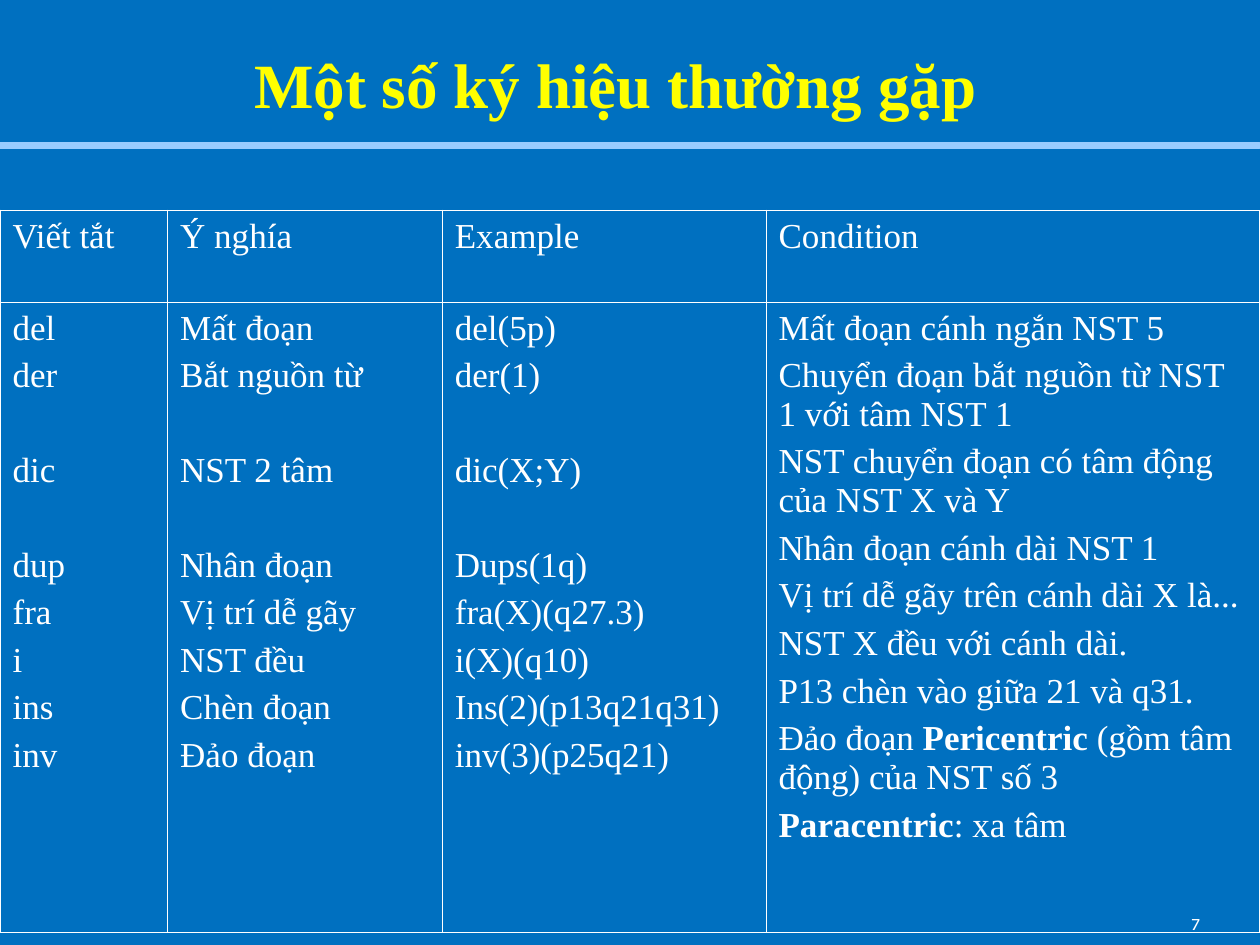
from lxml.etree import SubElement
from pptx import Presentation
from pptx.dml.color import RGBColor
from pptx.enum.shapes import MSO_SHAPE
from pptx.enum.text import MSO_ANCHOR
from pptx.oxml.ns import qn
from pptx.util import Inches, Pt

BLUE = RGBColor(0x00, 0x70, 0xC0)
LIGHT_BLUE = RGBColor(0x99, 0xCC, 0xFF)
YELLOW = RGBColor(0xFF, 0xFF, 0x00)
WHITE = RGBColor(0xFF, 0xFF, 0xFF)
SERIF = "Times New Roman"
SANS = "Karla"

THIN, THICK = 0.45, 1.08
LINE_GAP, SKIPPED_LINE_GAP = 5, 32
COLUMN_WIDTHS = [1.33, 2.18, 2.57, 3.92]
ROW_HEIGHTS = [0.73, 5]
HEADINGS = ["Viết tắt", "Ý nghía", "Example", "Condition"]
TERMS = [
    ("del", "Mất đoạn", "del(5p)"),
    ("der", "Bắt nguồn từ", "der(1)"),
    ("dic", "NST 2 tâm", "dic(X;Y)"),
    ("dup", "Nhân đoạn", "Dups(1q)"),
    ("fra", "Vị trí dễ gãy", "fra(X)(q27.3)"),
    ("i", "NST đều", "i(X)(q10)"),
    ("ins", "Chèn đoạn", "Ins(2)(p13q21q31)"),
    ("inv", "Đảo đoạn", "inv(3)(p25q21)"),
]
TERMS_AFTER_SKIP = (2, 3)
CONDITIONS = [
    ["Mất đoạn cánh ngắn NST 5"],
    ["Chuyển đoạn bắt nguồn từ NST 1 với tâm NST 1"],
    ["NST chuyển đoạn có tâm động của NST X và Y"],
    ["Nhân đoạn cánh dài NST 1"],
    ["Vị trí dễ gãy trên cánh dài X là..."],
    ["NST X đều với cánh dài."],
    ["P13 chèn vào giữa 21 và q31."],
    ["Đảo đoạn", " Pericentric ", "(gồm tâm động) của NST số 3"],
    ["", "Paracentric", ": xa tâm"],
]


def add_span(para, text, size=20, font=SERIF, color=WHITE, bold=False):
    span = para.add_run()
    span.text = text
    span.font.size = Pt(size)
    span.font.name = font
    span.font.color.rgb = color
    span.font.bold = bold


def fill_frame(frame, paragraphs, gaps):
    for index, (pieces, gap) in enumerate(zip(paragraphs, gaps)):
        para = frame.paragraphs[0] if index == 0 else frame.add_paragraph()
        para.space_before = Pt(gap if index else 0)
        for position, text in enumerate(pieces):
            if text:
                add_span(para, text, bold=position == 1)


def set_borders(cell, widths):
    properties = cell._tc.get_or_add_tcPr()
    for index, (side, width) in enumerate(widths.items()):
        line = SubElement(properties, qn(f"a:ln{side}"), w=str(Pt(width)))
        fill = SubElement(line, qn("a:solidFill"))
        SubElement(fill, qn("a:srgbClr"), val=str(WHITE))
        properties.insert(index, line)


class SymbolSlide:
    def __init__(self, deck):
        self.page = deck.slides.add_slide(deck.slide_layouts[6])
        background = self.page.background.fill
        background.solid()
        background.fore_color.rgb = BLUE

    def text(self, text, left, top, width, height, anchor=MSO_ANCHOR.TOP, **style):
        box = self.page.shapes.add_textbox(
            Inches(left), Inches(top), Inches(width), Inches(height)
        )
        box.text_frame.word_wrap = True
        box.text_frame.vertical_anchor = anchor
        add_span(box.text_frame.paragraphs[0], text, **style)

    def bar(self, left, top, width, height):
        bar = self.page.shapes.add_shape(
            MSO_SHAPE.RECTANGLE, Inches(left), Inches(top), Inches(width), Inches(height)
        )
        bar.shadow.inherit = False
        bar.fill.solid()
        bar.fill.fore_color.rgb = LIGHT_BLUE
        bar.line.color.rgb = LIGHT_BLUE
        bar.line.width = Pt(0.62)

    def table(self, left, top, rows, gaps):
        last_row, last_column = len(ROW_HEIGHTS) - 1, len(COLUMN_WIDTHS) - 1
        table = self.page.shapes.add_table(
            len(ROW_HEIGHTS), len(COLUMN_WIDTHS), Inches(left), Inches(top),
            Inches(sum(COLUMN_WIDTHS)), Inches(sum(ROW_HEIGHTS)),
        ).table
        table.first_row = table.horz_banding = False
        for column, width in zip(table.columns, COLUMN_WIDTHS):
            column.width = Inches(width)
        for row, height in zip(table.rows, ROW_HEIGHTS):
            row.height = Inches(height)
        for row, contents in enumerate(rows):
            for column, paragraphs in enumerate(contents):
                cell = table.cell(row, column)
                cell.margin_left = cell.margin_right = Inches(0.1)
                cell.margin_top = cell.margin_bottom = Inches(0.05)
                cell.fill.background()
                set_borders(cell, {
                    "L": THICK if column == 0 else THIN,
                    "R": THICK if column == last_column else THIN,
                    "T": THICK if row == 0 else THIN,
                    "B": THICK if row == last_row else THIN,
                })
                fill_frame(cell.text_frame, paragraphs, gaps[column])


def main():
    deck = Presentation()
    deck.slide_width, deck.slide_height = Inches(10), Inches(7.5)
    slide = SymbolSlide(deck)
    slide.text("7", 9.36, 7.2, 0.88, 0.29, size=10, font=SANS)
    slide.bar(0, 1.13, 10, 0.05)
    slide.text("Một số ký hiệu thường gặp", 1.92, 0.32, 7.75, 0.68,
               anchor=MSO_ANCHOR.MIDDLE, size=36, color=YELLOW, bold=True)

    header = [[[heading]] for heading in HEADINGS]
    body = [[[term] for term in column] for column in zip(*TERMS)] + [CONDITIONS]
    term_gaps = [
        SKIPPED_LINE_GAP if index in TERMS_AFTER_SKIP else LINE_GAP
        for index in range(len(TERMS))
    ]
    gaps = [term_gaps] * 3 + [[LINE_GAP] * len(CONDITIONS)]
    slide.table(0, 1.67, [header, body], gaps)
    deck.save("out.pptx")


if __name__ == "__main__":
    main()
